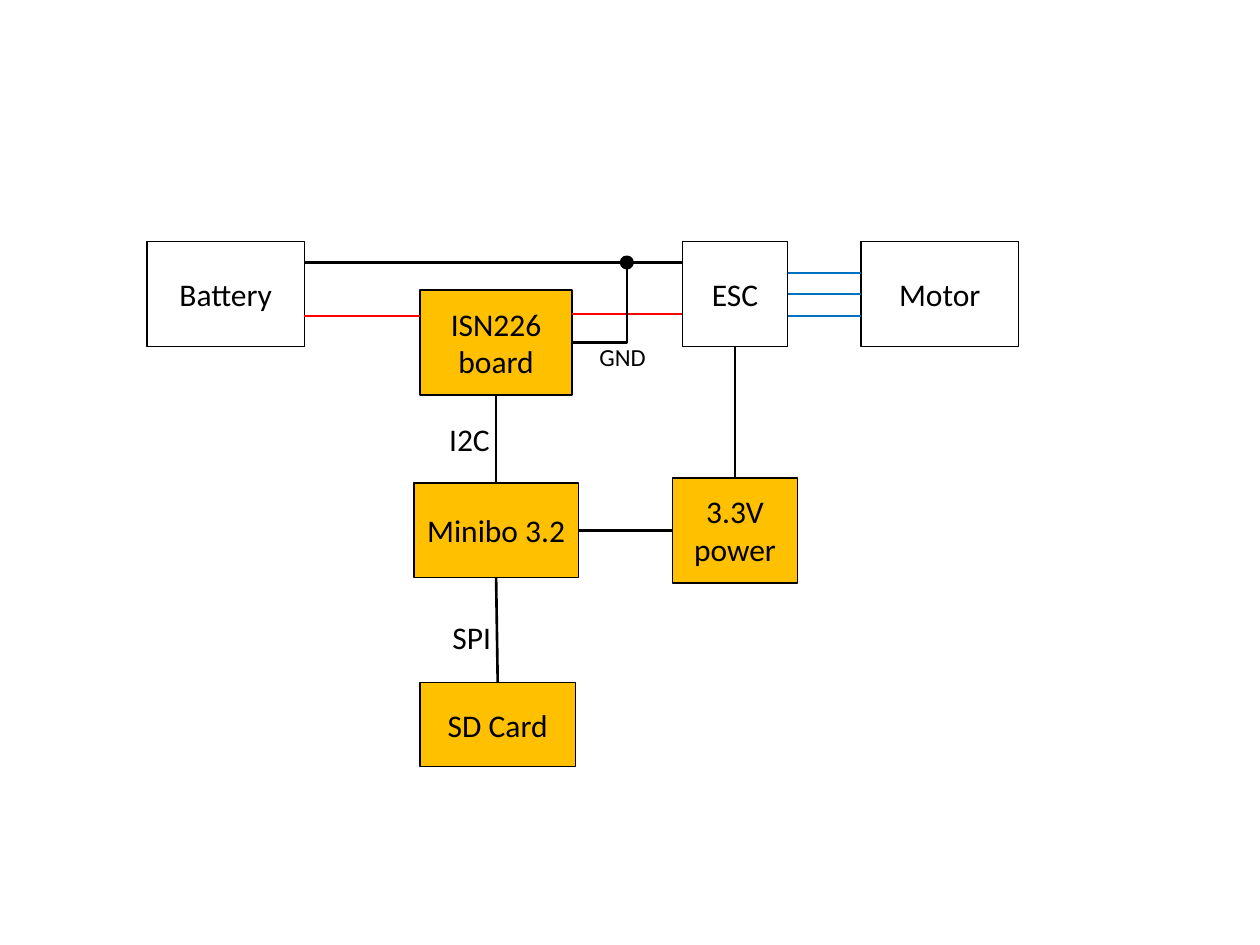
"""Builds a block diagram of a battery, motor and power logger wiring."""
from pptx import Presentation
from pptx.dml.color import RGBColor
from pptx.enum.shapes import MSO_CONNECTOR, MSO_SHAPE
from pptx.enum.text import MSO_ANCHOR, MSO_AUTO_SIZE, PP_ALIGN
from pptx.oxml.ns import qn
from pptx.oxml.xmlchemy import OxmlElement
from pptx.util import Inches, Pt

RECT, OVAL = MSO_SHAPE.RECTANGLE, MSO_SHAPE.OVAL
STRAIGHT, ELBOW = MSO_CONNECTOR.STRAIGHT, MSO_CONNECTOR.ELBOW
MIDDLE, FIT = MSO_ANCHOR.MIDDLE, MSO_AUTO_SIZE.SHAPE_TO_FIT_TEXT
LEFT, CENTER = PP_ALIGN.LEFT, PP_ALIGN.CENTER
TOP_SIDE, LEFT_SIDE, BOTTOM_SIDE, RIGHT_SIDE = range(4)

HEX = {"black": "000000", "white": "FFFFFF", "amber": "FFC000",
       "red": "FF0000", "blue": "0070C0"}
COLOR = {name: RGBColor.from_string(value) for name, value in HEX.items()}

prs = Presentation()
prs.slide_width, prs.slide_height = Inches(10), Inches(7.5)
s = prs.slides.add_slide(prs.slide_layouts[6])
CELL = prs.slide_width / 120


def add_text(tf, text, size=18, color="black", align=CENTER):
    p = tf.paragraphs[0]
    p.alignment = align
    r = p.add_run()
    r.text = text
    r.font.name, r.font.size = "Calibri", Pt(size)
    r.font.color.rgb = COLOR[color]


def add_wire(x1, y1, x2, y2, color="black", kind=STRAIGHT):
    ends = [round(v * CELL) for v in (x1, y1, x2, y2)]
    wire = s.shapes.add_connector(kind, *ends)
    wire.line.color.rgb, wire.line.width = COLOR[color], Pt(1.5)
    wire._element.spPr.append(OxmlElement("a:effectLst"))
    return wire


blocks = [
    ("Battery", 14, 23, 15, 10, "white"),
    ("Minibo 3.2", 39.4, 46, 15.7, 9, "amber"),
    ("ISN226 board", 40, 27.6, 14.5, 10, "amber"),
    ("SD Card", 40, 65, 14.8, 8, "amber"),
    ("ESC", 65, 23, 10, 10, "white"),
    ("Motor", 82, 23, 15, 10, "white"),
    ("3.3V power", 64.05, 45.5, 11.9, 10, "amber"),
]
box = {}
for text, x, y, w, h, fill in blocks:
    sp = s.shapes.add_shape(RECT, *[round(v * CELL) for v in (x, y, w, h)])
    sp.shadow.inherit = False
    sp.fill.solid()
    sp.fill.fore_color.rgb = COLOR[fill]
    sp.line.color.rgb, sp.line.width = COLOR["black"], Pt(1)
    sp.text_frame.word_wrap = True
    sp.text_frame.vertical_anchor = MIDDLE
    add_text(sp.text_frame, text)
    box[text] = sp

GROUND_Y, JUNCTION_X = 25, 59.7
add_wire(29, GROUND_Y, 65, GROUND_Y)
add_wire(29, 30.1, 40, 30.1, "red")
add_wire(54.5, 29.9, 65, 29.9, "red")
for y in (26, 30.1):
    add_wire(75, y, 82, y, "blue")

links = [
    ("ESC", RIGHT_SIDE, "Motor", LEFT_SIDE, "blue"),
    ("Minibo 3.2", TOP_SIDE, "ISN226 board", BOTTOM_SIDE, "black"),
    ("SD Card", TOP_SIDE, "Minibo 3.2", BOTTOM_SIDE, "black"),
    ("ESC", BOTTOM_SIDE, "3.3V power", TOP_SIDE, "black"),
    ("Minibo 3.2", RIGHT_SIDE, "3.3V power", LEFT_SIDE, "black"),
]
for start, start_side, end, end_side, color in links:
    wire = add_wire(0, 0, 0, 0, color)
    wire.begin_connect(box[start], start_side)
    wire.end_connect(box[end], end_side)

elbow = add_wire(54.5, 32.6, JUNCTION_X, GROUND_Y, kind=ELBOW)
elbow._element.spPr.find(qn("a:prstGeom")).set("prst", "bentConnector2")

for text, x, y, w, h, size in [("I2C", 41.6, 39.4, 6.4, 4.8, 18),
                               ("SPI", 41.9, 58.3, 6.1, 4.8, 18),
                               ("GND", 55.9, 32, 6.8, 4.1, 14)]:
    label = s.shapes.add_textbox(*[round(v * CELL) for v in (x, y, w, h)])
    tf = label.text_frame
    tf.word_wrap, tf.auto_size = False, FIT
    add_text(tf, text, size=size, align=LEFT)

dot = s.shapes.add_shape(OVAL, round((JUNCTION_X - 0.5) * CELL),
                         round((GROUND_Y - 0.5) * CELL), round(CELL), round(CELL))
dot.shadow.inherit = False
dot.fill.solid()
dot.fill.fore_color.rgb = COLOR["black"]
dot.line.color.rgb, dot.line.width = COLOR["black"], Pt(2)

prs.save("out.pptx")
